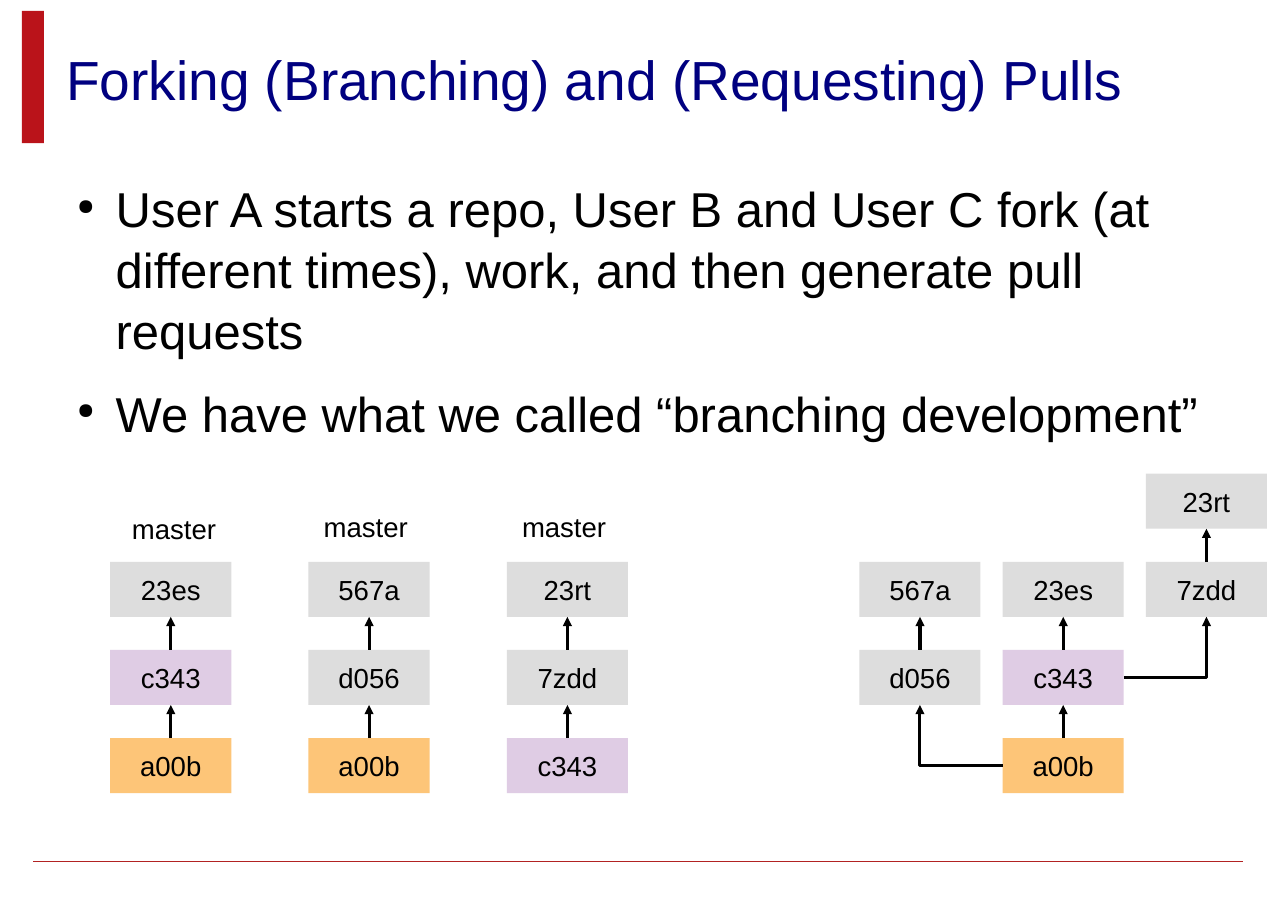
from dataclasses import dataclass

from lxml.etree import SubElement
from pptx import Presentation
from pptx.dml.color import RGBColor
from pptx.enum.shapes import MSO_CONNECTOR, MSO_SHAPE
from pptx.enum.text import MSO_ANCHOR, PP_ALIGN
from pptx.oxml.ns import qn
from pptx.shapes.autoshape import Shape
from pptx.shapes.connector import Connector
from pptx.slide import Slide
from pptx.text.text import Font, TextFrame
from pptx.util import Inches, Pt

COLORS = {
    "title": "000080",
    "text": "000000",
    "bar": "BA131A",
    "rule": "B22222",
    "root": "FDC578",
    "shared": "DFCCE4",
    "commit": "DDDDDD",
}
COMMIT_COLORS = {"a00b": "root", "c343": "shared"}
COMMIT_WIDTH, COMMIT_HEIGHT = 1.1, 0.5
BASE_TOP, LEVEL_STEP = 6.7, 0.8
TOP, LEFT, BOTTOM, RIGHT = range(4)
BULLETS = [
    "User A starts a repo, User B and User C fork (at different times), "
    "work, and then generate pull requests",
    "We have what we called “branching development”",
]


@dataclass
class Branch:
    """A column of commits, listed from the oldest at the bottom."""
    left: float
    level: int
    commits: list[str]


@dataclass
class Label:
    left: float
    top: float


USER_REPOS = [
    Branch(1, 0, ["a00b", "c343", "23es"]),
    Branch(2.8, 0, ["a00b", "d056", "567a"]),
    Branch(4.6, 0, ["c343", "7zdd", "23rt"]),
]
USER_B = Branch(7.8, 1, ["d056", "567a"])
USER_A = Branch(9.1, 0, ["a00b", "c343", "23es"])
USER_C = Branch(10.4, 2, ["7zdd", "23rt"])
MASTER_LABELS = [Label(0.9, 4.6), Label(2.64, 4.58), Label(4.44, 4.58)]


def color(name: str) -> RGBColor:
    return RGBColor.from_string(COLORS[name])


def style(font: Font, size: int, color_name: str = "text") -> None:
    font.name = "Arial"
    font.size = Pt(size)
    font.color.rgb = color(color_name)


def clear_margins(frame: TextFrame) -> None:
    frame.margin_left = frame.margin_top = 0
    frame.margin_right = frame.margin_bottom = 0


def add_block(slide: Slide, left: float, top: float, width: float,
              height: float, fill: str) -> Shape:
    block = slide.shapes.add_shape(MSO_SHAPE.RECTANGLE, Inches(left), Inches(top),
                                   Inches(width), Inches(height))
    block.shadow.inherit = False
    block.fill.solid()
    block.fill.fore_color.rgb = color(fill)
    block.line.fill.background()
    return block


def add_line(slide: Slide, kind: MSO_CONNECTOR, ends: tuple[float, float, float, float],
             line_color: str, width: float) -> Connector:
    line = slide.shapes.add_connector(kind, *map(Inches, ends))
    line.line.color.rgb = color(line_color)
    line.line.width = Pt(width)
    SubElement(line._element.spPr, qn("a:effectLst"))
    return line


def add_arrow(slide: Slide, parent: Shape, side: int, child: Shape) -> None:
    """Lead from the top of the parent, or by one bend from its side, to the child."""
    straight = side == TOP
    kind = MSO_CONNECTOR.STRAIGHT if straight else MSO_CONNECTOR.ELBOW
    arrow = add_line(slide, kind, (0, 0, 0, 0), "text", 0)
    arrow.begin_connect(parent, side)
    arrow.end_connect(child, BOTTOM)
    if not straight:
        arrow._element.spPr.find(qn("a:prstGeom")).set("prst", "bentConnector2")
    outline = arrow._element.spPr.find(qn("a:ln"))
    SubElement(outline, qn("a:tailEnd"), type="triangle")


def add_commit(slide: Slide, name: str, left: float, level: int) -> Shape:
    top = BASE_TOP - level * LEVEL_STEP
    commit = add_block(slide, left, top, COMMIT_WIDTH, COMMIT_HEIGHT,
                       COMMIT_COLORS.get(name, "commit"))
    frame = commit.text_frame
    frame.text = name
    frame.word_wrap = False
    frame.vertical_anchor = MSO_ANCHOR.MIDDLE
    frame.paragraphs[0].alignment = PP_ALIGN.CENTER
    style(frame.paragraphs[0].font, 18)
    return commit


def add_branch(slide: Slide, branch: Branch) -> list[Shape]:
    commits = [add_commit(slide, name, branch.left, level)
               for level, name in enumerate(branch.commits, branch.level)]
    for parent, child in zip(commits, commits[1:]):
        add_arrow(slide, parent, TOP, child)
    return commits


def add_label(slide: Slide, label: Label) -> None:
    frame = slide.shapes.add_textbox(Inches(label.left), Inches(label.top),
                                     Inches(1.36), Inches(0.42)).text_frame
    frame.word_wrap = True
    frame.text = "master"
    frame.paragraphs[0].alignment = PP_ALIGN.CENTER
    style(frame.paragraphs[0].font, 18)


def add_title(slide: Slide) -> None:
    title = slide.shapes.title
    title.left, title.top = Inches(0.6), Inches(0.12)
    title.width, title.height = Inches(10.7), Inches(1.18)
    frame = title.text_frame
    frame.text = "Forking (Branching) and (Requesting) Pulls"
    frame.vertical_anchor = MSO_ANCHOR.MIDDLE
    clear_margins(frame)
    frame.paragraphs[0].alignment = PP_ALIGN.LEFT
    style(frame.paragraphs[0].runs[0].font, 36, "title")


def add_bullets(slide: Slide) -> None:
    frame = slide.shapes.add_textbox(Inches(0.58), Inches(1.6),
                                     Inches(10.72), Inches(2.83)).text_frame
    frame.word_wrap = True
    clear_margins(frame)
    frame.text = "\n".join(BULLETS)
    for index, paragraph in enumerate(frame.paragraphs):
        properties = paragraph._p.get_or_add_pPr()
        properties.set("marL", str(Inches(0.47)))
        properties.set("indent", str(Inches(-0.35)))
        bullet_color = SubElement(properties, qn("a:buClr"))
        SubElement(bullet_color, qn("a:srgbClr"), val=COLORS["text"])
        SubElement(properties, qn("a:buSzPct"), val="45000")
        SubElement(properties, qn("a:buChar"), char="●")
        paragraph.line_spacing = 1.04
        if index:
            paragraph.space_before = Pt(14.1)
        style(paragraph.font, 32)


def main() -> None:
    presentation = Presentation()
    presentation.slide_width = Inches(11.69)
    presentation.slide_height = Inches(8.27)
    slide = presentation.slides.add_slide(presentation.slide_layouts[5])

    add_block(slide, 0.2, 0.1, 0.2, 1.2, "bar")
    add_line(slide, MSO_CONNECTOR.STRAIGHT, (0.3, 7.82, 11.28, 7.82), "rule", 1)
    add_title(slide)
    add_bullets(slide)

    for repo in USER_REPOS:
        add_branch(slide, repo)
    for label in MASTER_LABELS:
        add_label(slide, label)

    first, second, _ = add_branch(slide, USER_A)
    add_arrow(slide, first, LEFT, add_branch(slide, USER_B)[0])
    add_arrow(slide, second, RIGHT, add_branch(slide, USER_C)[0])

    presentation.save("out.pptx")


if __name__ == "__main__":
    main()
